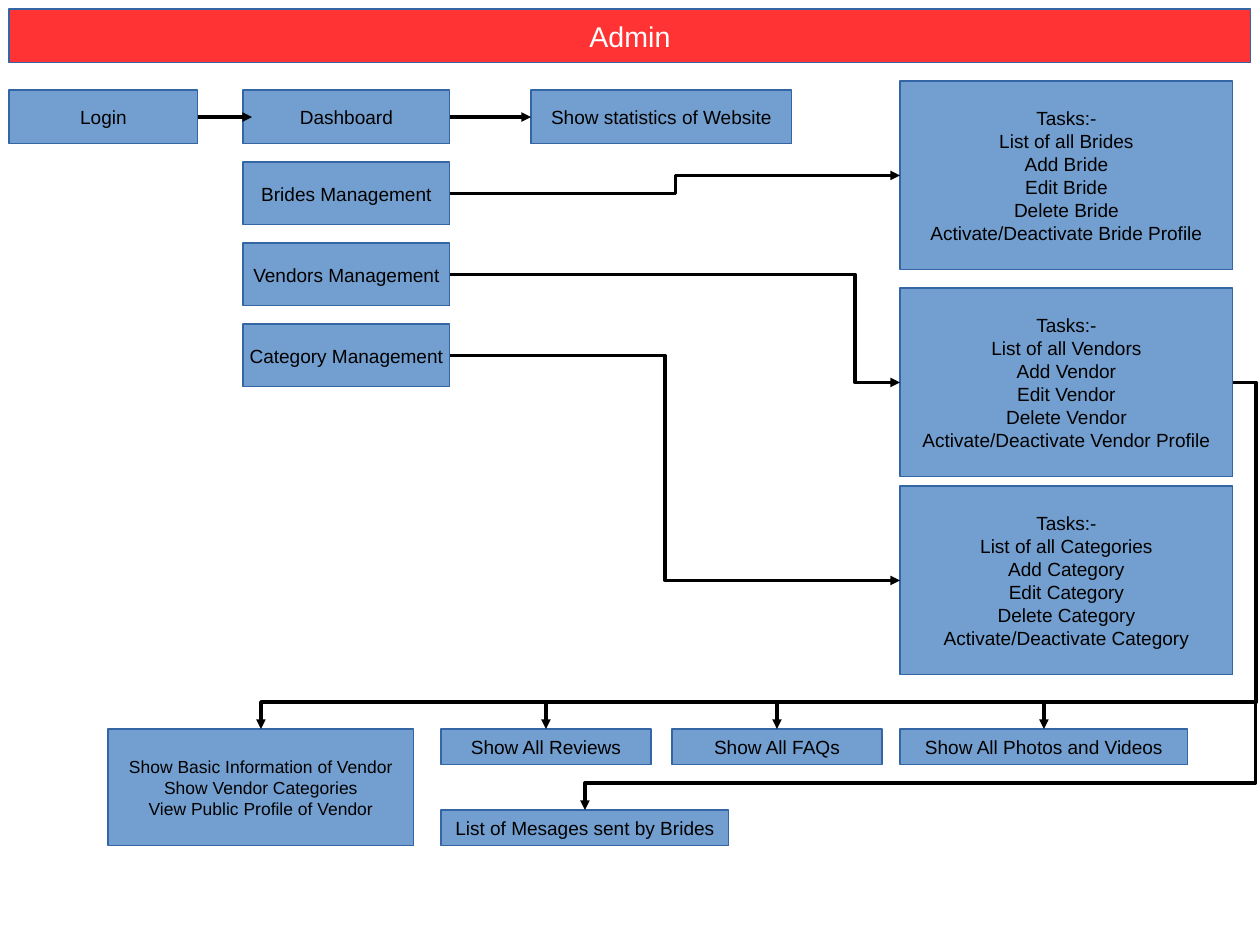
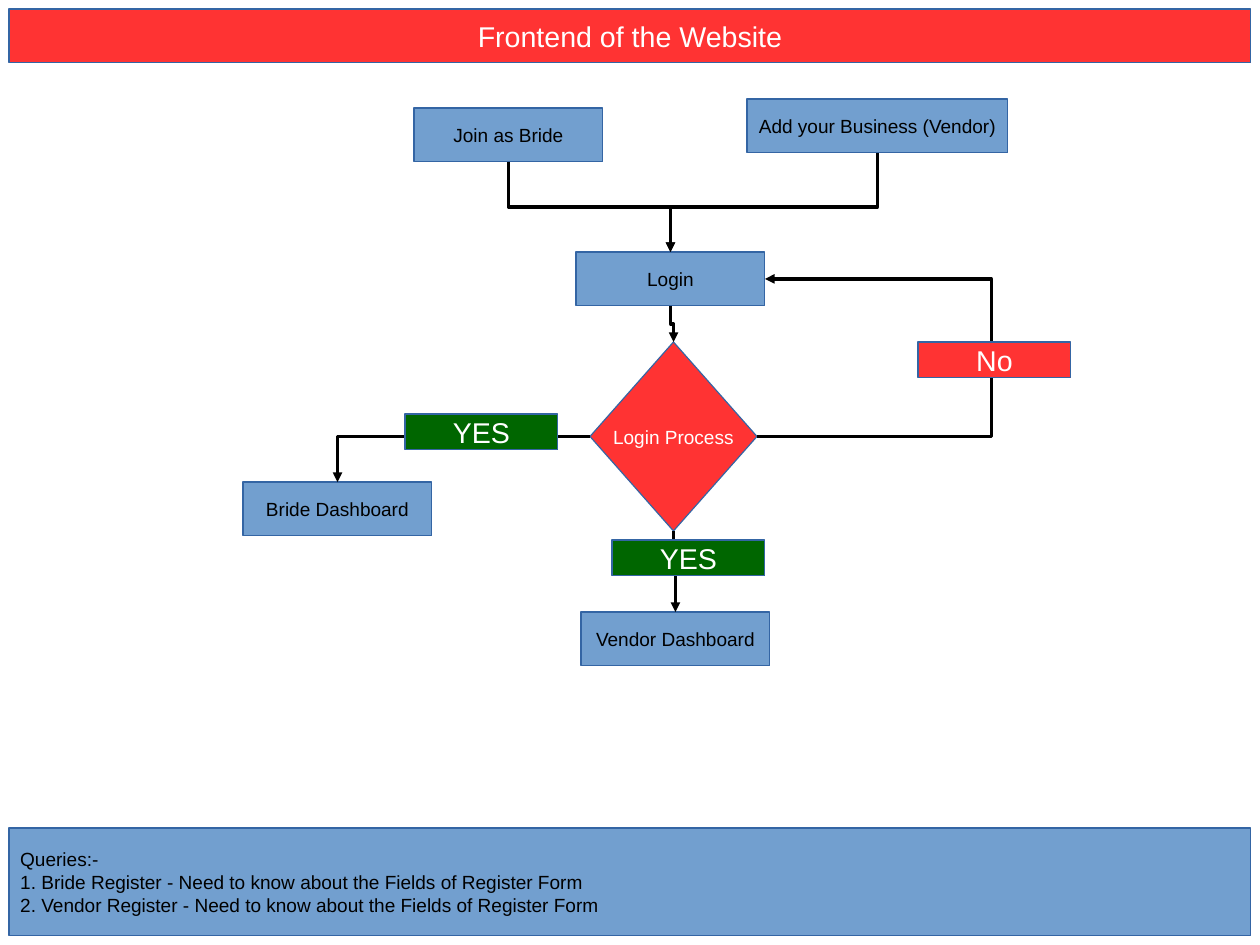
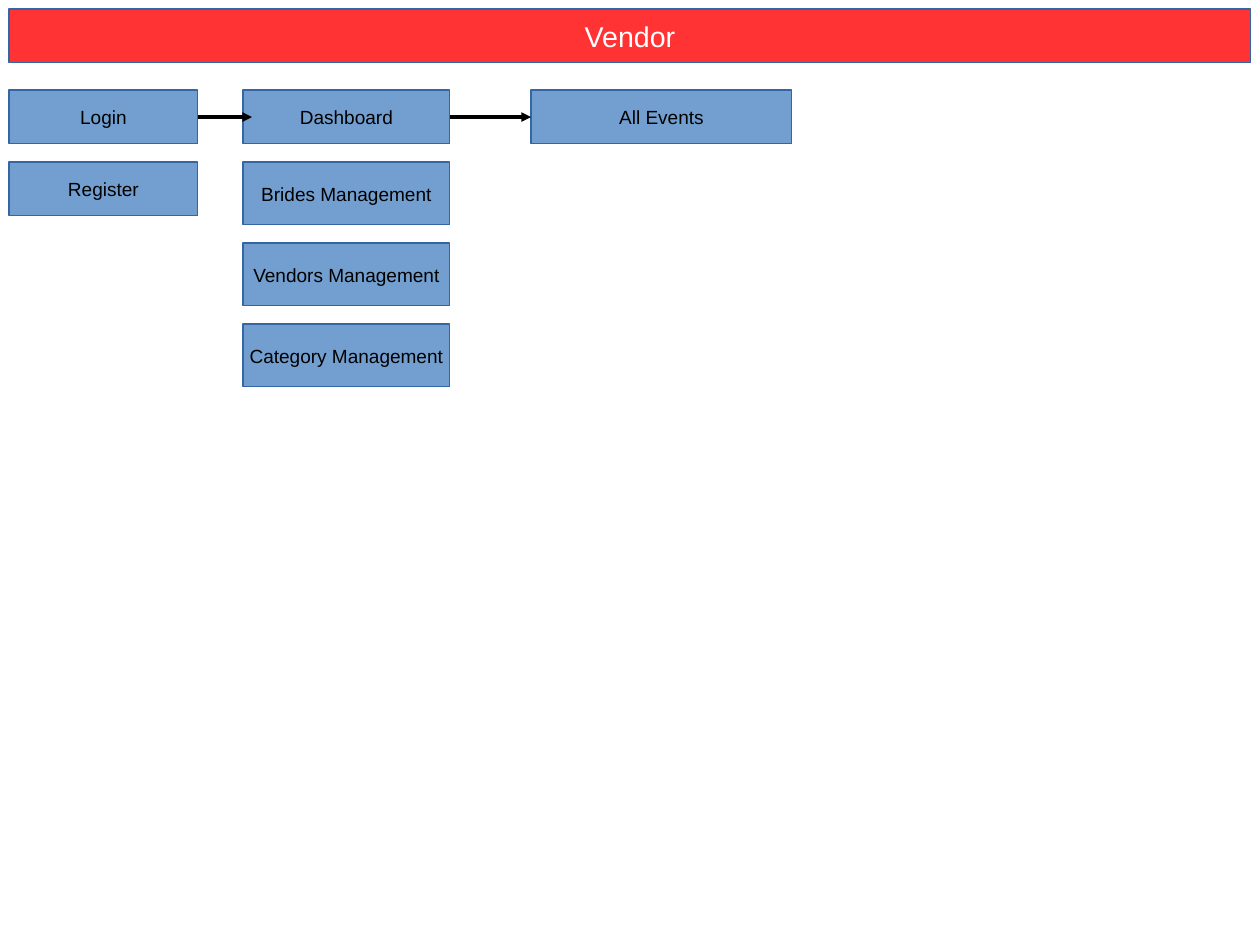
from dataclasses import dataclass

from lxml.etree import SubElement
from pptx import Presentation
from pptx.dml.color import RGBColor
from pptx.enum.shapes import MSO_CONNECTOR as Link, MSO_SHAPE as Preset
from pptx.enum.text import MSO_ANCHOR as Anchor, PP_ALIGN as Align
from pptx.oxml.ns import qn
from pptx.util import Pt

EMU_PER_PX = 8000
TOP, LEFT, BOTTOM, RIGHT = range(4)


@dataclass(frozen=True)
class Theme:
    font: str = "Arial"
    blue: RGBColor = RGBColor(0x72, 0x9F, 0xCF)
    red: RGBColor = RGBColor(0xFF, 0x33, 0x33)
    green: RGBColor = RGBColor(0x00, 0x66, 0x00)
    outline: RGBColor = RGBColor(0x34, 0x65, 0xA4)
    black: RGBColor = RGBColor(0, 0, 0)
    white: RGBColor = RGBColor(0xFF, 0xFF, 0xFF)
    large: int = 18
    body: int = 12
    small: int = 11


THEME = Theme()


def px(value):
    return round(value * EMU_PER_PX)


def hairline(line, color):
    line.color.rgb = color
    line.width = 0


# Boxes
def box(slide, text, x, y, w, h, fill=THEME.blue, color=THEME.black,
        size=THEME.body, align=Align.CENTER, preset=Preset.RECTANGLE):
    shape = slide.shapes.add_shape(preset, px(x), px(y), px(w), px(h))
    shape.shadow.inherit = False
    shape.fill.solid()
    shape.fill.fore_color.rgb = fill
    hairline(shape.line, THEME.outline)
    frame = shape.text_frame
    frame.text = text
    frame.word_wrap = False
    frame.vertical_anchor = Anchor.MIDDLE
    font_format = {"name": THEME.font, "size": Pt(size)}
    for paragraph in frame.paragraphs:
        paragraph.alignment = align
        for run in paragraph.runs:
            for key, value in font_format.items():
                setattr(run.font, key, value)
            run.font.color.rgb = color
    return shape


def step(slide, text, x, y):
    return box(slide, text, x, y, 189, 54)


def answer(slide, text, x, y, fill):
    return box(slide, text, x, y, 153, 36, fill, THEME.white, THEME.large)


def titled_slide(deck, title):
    slide = deck.slides.add_slide(deck.slide_layouts[6])
    box(slide, title, 9, 9, 1242, 54, THEME.red, THEME.white, THEME.large)
    return slide


# Arrows
def finish_arrow(arrow):
    hairline(arrow.line, THEME.black)
    properties = arrow.element.spPr
    SubElement(properties.find(qn("a:ln")), qn("a:tailEnd"), type="triangle")
    SubElement(properties, qn("a:effectLst"))


def straight(slide, source, target, overlap=0):
    """Arrow from a right side to a left side, or a little way past it."""
    y = source.top + source.height // 2
    arrow = slide.shapes.add_connector(
        Link.STRAIGHT, source.left + source.width, y,
        target.left + px(overlap), y)
    arrow.begin_connect(source, RIGHT)
    if not overlap:
        arrow.end_connect(target, LEFT)
    finish_arrow(arrow)


def elbow(slide, source, source_side, target, target_side,
          via_x=None, via_y=None):
    """Bent arrow whose inner segments run along via_x and via_y."""
    arrow = slide.shapes.add_connector(Link.ELBOW, 0, 0, 0, 0)
    arrow.begin_connect(source, source_side)
    arrow.end_connect(target, target_side)
    x1, y1, x2, y2 = arrow.begin_x, arrow.begin_y, arrow.end_x, arrow.end_y
    dx, dy = x2 - x1, y2 - y1
    bends = []
    if via_x is not None:
        bends.append((px(via_x) - x1) / dx)
    if via_y is not None:
        bends.append((px(via_y) - y1) / dy)

    # Place the frame: turned when the arrow leaves downwards
    xfrm = arrow.element.spPr.find(qn("a:xfrm"))
    width, height = abs(dx), abs(dy)
    turn, flip_h, flip_v = 0, dx < 0, dy < 0
    if source_side == BOTTOM:
        width, height = height, width
        turn, flip_h, flip_v = (270, True, False) if dx > 0 else (90, False, False)
    elif not bends:
        turn, flip_h, flip_v = 180, False, True
    frame = {"left": (x1 + x2 - width) // 2, "top": (y1 + y2 - height) // 2,
             "width": width, "height": height}
    for key, value in frame.items():
        setattr(arrow, key, value)
    for key, value in {"rot": turn, "flipH": flip_h, "flipV": flip_v}.items():
        setattr(xfrm, key, value)

    # Set the bends
    geometry = arrow.element.spPr.find(qn("a:prstGeom"))
    geometry.set("prst", f"bentConnector{len(bends) + 2}")
    guides = geometry.find(qn("a:avLst"))
    for number, share in enumerate(bends, 1):
        SubElement(guides, qn("a:gd"), name=f"adj{number}",
                   fmla=f"val {round(share * 100000)}")
    finish_arrow(arrow)


# Parts shared by the two dashboards
def dashboard_menu(slide, result):
    login = step(slide, "Login", 9, 90)
    dashboard = box(slide, "Dashboard", 243, 90, 207, 54)
    outcome = box(slide, result, 531, 90, 261, 54)
    straight(slide, login, dashboard, overlap=9)
    straight(slide, dashboard, outcome)
    return [box(slide, f"{subject} Management", 243, 162 + 81 * row, 207, 63)
            for row, subject in enumerate(("Brides", "Vendors", "Category"))]


def task_list(slide, plural, single, ending, y):
    lines = ["Tasks:-", f"List of all {plural}"]
    lines += [f"{verb} {single}" for verb in ("Add", "Edit", "Delete")]
    lines.append(f"Activate/Deactivate {single}{ending}")
    return box(slide, "\n".join(lines), 900, y, 333, 189)


# Slides
def admin_slide(deck):
    slide = titled_slide(deck, "Admin")
    menu = dashboard_menu(slide, "Show statistics of Website")
    tasks = [task_list(slide, *row) for row in (
        ("Brides", "Bride", " Profile", 81),
        ("Vendors", "Vendor", " Profile", 288),
        ("Categories", "Category", "", 486))]
    for entry, task, via_x in zip(menu, tasks, (676, 855, 665)):
        elbow(slide, entry, RIGHT, task, LEFT, via_x)

    basics = "\n".join(("Show Basic Information of Vendor",
                        "Show Vendor Categories",
                        "View Public Profile of Vendor"))
    details = [box(slide, basics, 108, 729, 306, 117, size=THEME.small)]
    details += [box(slide, text, x, y, w, 36) for text, x, y, w in (
        ("Show All Reviews", 441, 729, 210),
        ("Show All FAQs", 672, 729, 210),
        ("Show All Photos and Videos", 900, 729, 288),
        ("List of Mesages sent by Brides", 441, 810, 288))]
    for detail in details:
        elbow(slide, tasks[1], RIGHT, detail, TOP, 1256,
              detail.top / EMU_PER_PX - 27)


def frontend_slide(deck):
    slide = titled_slide(deck, "Frontend of the Website")
    login = step(slide, "Login", 576, 252)
    business = box(slide, "Add your Business (Vendor)", 747, 99, 261, 54)
    bride = step(slide, "Join as Bride", 414, 108)
    queries = "\n".join((
        "Queries:-",
        "1. Bride Register - Need to know about the Fields of Register Form",
        "2. Vendor Register - Need to know about the Fields of Register Form"))
    box(slide, queries, 9, 828, 1242, 108, align=Align.LEFT)
    bride_dashboard = step(slide, "Bride Dashboard", 243, 482)
    vendor_dashboard = step(slide, "Vendor Dashboard", 581, 612)
    process = box(slide, "Login Process", 590, 342, 167, 189, THEME.red,
                  THEME.white, preset=Preset.DIAMOND)

    for entrance in (bride, business):
        elbow(slide, entrance, BOTTOM, login, TOP, via_y=207)
    elbow(slide, login, BOTTOM, process, TOP, via_y=324)
    elbow(slide, process, BOTTOM, vendor_dashboard, TOP, via_y=572)
    elbow(slide, process, LEFT, bride_dashboard, TOP)
    elbow(slide, process, RIGHT, login, RIGHT, via_x=991)

    answer(slide, "YES", 612, 540, THEME.green)
    answer(slide, "YES", 405, 414, THEME.green)
    answer(slide, "No", 918, 342, THEME.red)


def vendor_slide(deck):
    slide = titled_slide(deck, "Vendor")
    dashboard_menu(slide, "All Events")
    step(slide, "Register", 9, 162)


def main():
    deck = Presentation()
    deck.slide_width, deck.slide_height = px(1260), px(945)
    admin_slide(deck)
    frontend_slide(deck)
    vendor_slide(deck)
    deck.save("out.pptx")


if __name__ == "__main__":
    main()
